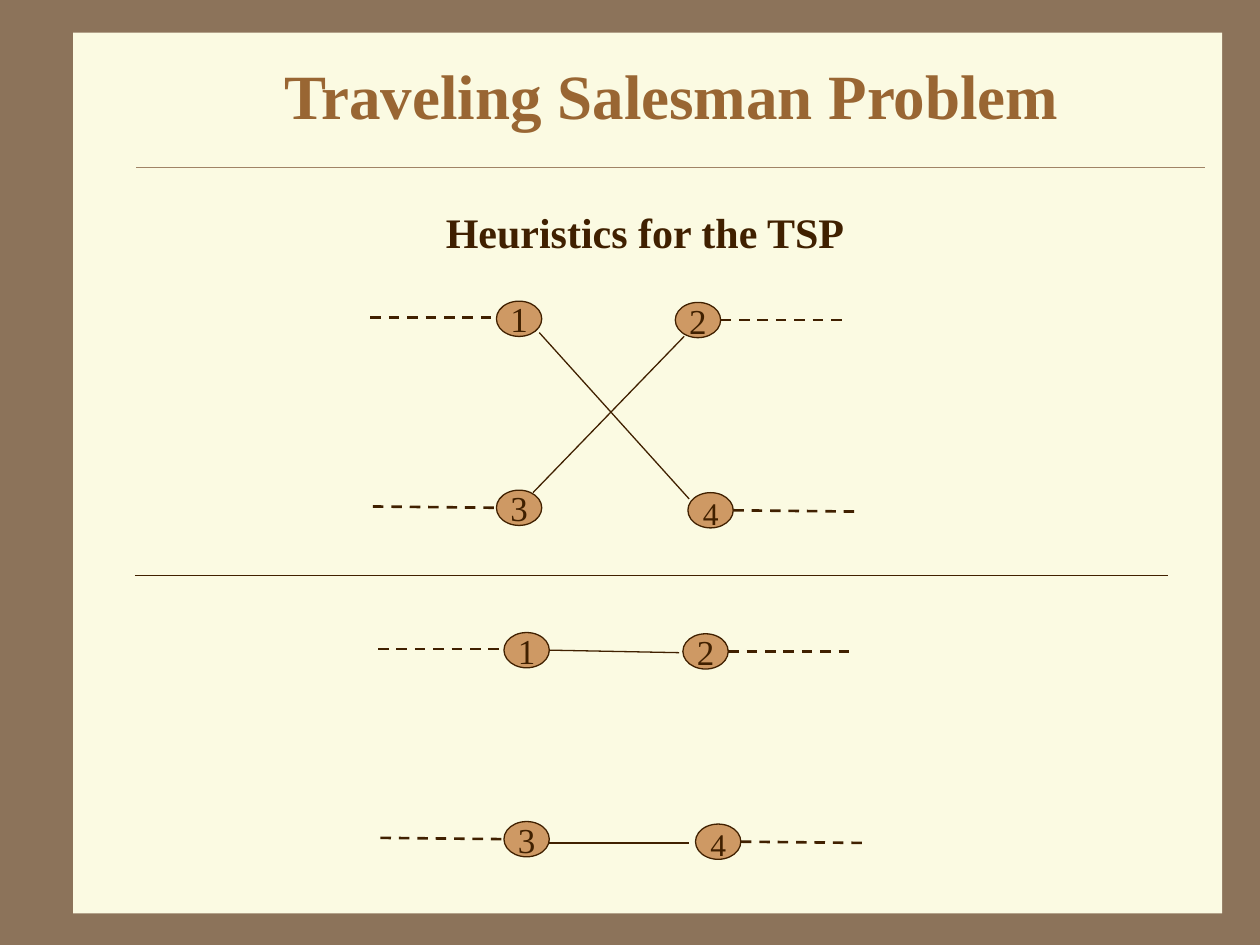
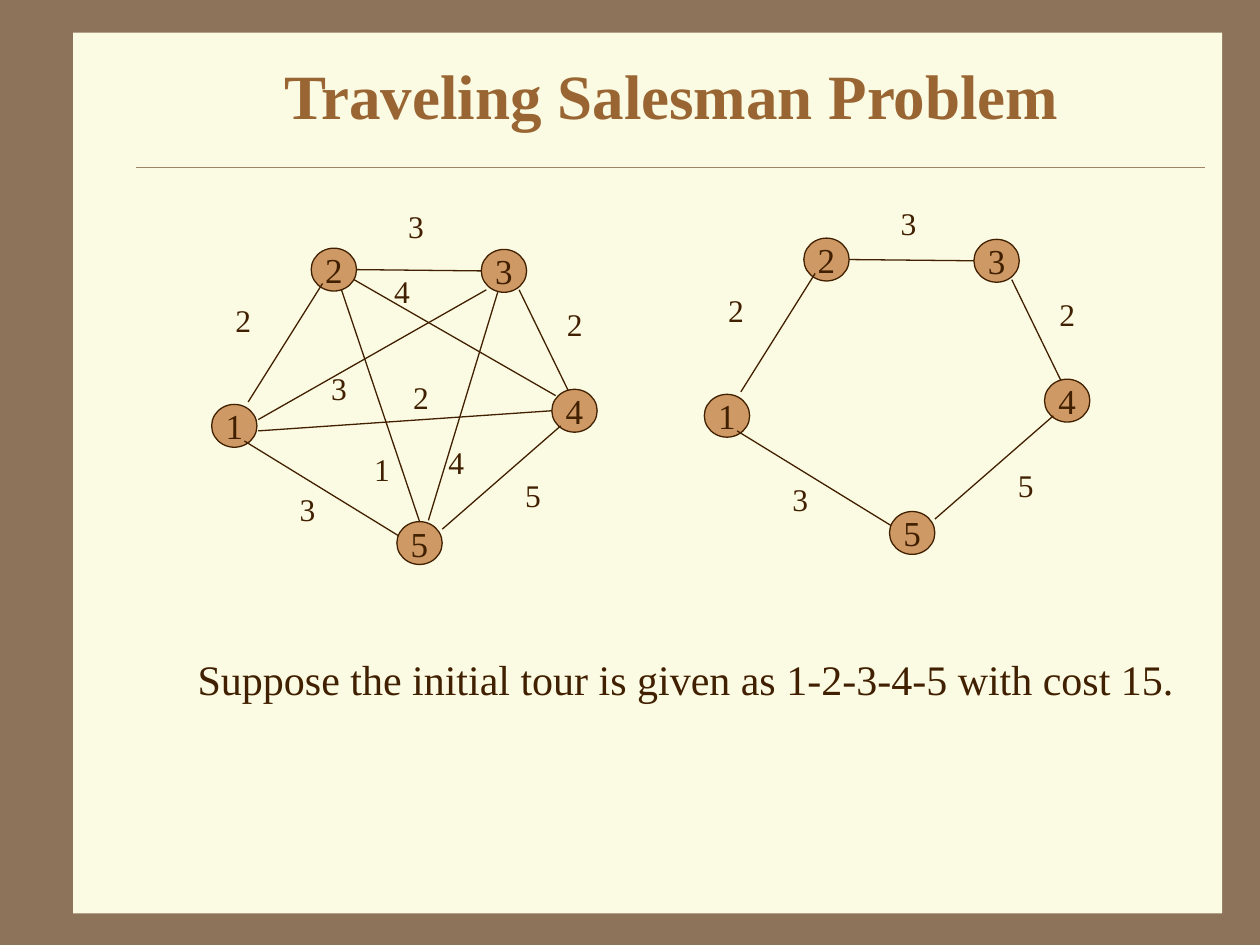
from math import dist
from pptx import Presentation
from pptx.dml.color import RGBColor
from pptx.enum.dml import MSO_LINE
from pptx.enum.shapes import MSO_CONNECTOR, MSO_SHAPE
from pptx.enum.text import MSO_ANCHOR, PP_ALIGN
from pptx.oxml.ns import qn
from pptx.util import Inches, Pt
from lxml import etree

COLORS = {
    "frame": "8C735A",
    "panel": "FBFAE2",
    "rule": "A08366",
    "title": "996633",
    "ink": "402000",
    "node": "CE9964",
}
RGB = {name: RGBColor.from_string(value) for name, value in COLORS.items()}
FONT = "Times New Roman"


def write(tf, text, size, color="ink", bold=False, align=PP_ALIGN.LEFT, wrap=False):
    tf.text = text
    tf.word_wrap = wrap
    p = tf.paragraphs[0]
    p.alignment = align
    for r in p.runs:
        r.font.name = FONT
        r.font.size = Pt(size)
        r.font.bold = bold
        r.font.color.rgb = RGB[color]


def add_line(s, start, end, color="ink", width=0.75, dashed=False, nodes=()):
    points = [Inches(v) for v in (*start, *end)]
    c = s.shapes.add_connector(MSO_CONNECTOR.STRAIGHT, *points)
    c.line.color.rgb = RGB[color]
    c.line.width = Pt(width)
    if dashed:
        c.line.dash_style = MSO_LINE.DASH
    etree.SubElement(c._element.spPr, qn("a:effectLst"))
    for node in nodes:
        x, y, w, h = node.left, node.top, node.width, node.height
        sides = [(x + w / 2, y), (x, y + h / 2), (x + w / 2, y + h), (x + w, y + h / 2)]
        for site, side in enumerate(sides):
            if dist(points[:2], side) < Inches(0.025):
                c.begin_connect(node, site)
            if dist(points[2:], side) < Inches(0.025):
                c.end_connect(node, site)
    return c


prs = Presentation()
prs.slide_width, prs.slide_height = Inches(10), Inches(7.5)
master = prs.slide_master
master.background.fill.solid()
master.background.fill.fore_color.rgb = RGB["frame"]

slides = [prs.slides.add_slide(prs.slide_layouts[5]) for _ in range(2)]
heuristics, tour = slides
for s in slides:
    title = s.shapes.title
    title.left, title.top = Inches(1.08), Inches(0.33)
    title.width, title.height = Inches(8.5), Inches(0.83)
    write(title.text_frame, "Traveling Salesman Problem", 36, "title", True, PP_ALIGN.CENTER, True)
    title.text_frame.vertical_anchor = MSO_ANCHOR.MIDDLE

panel = heuristics.shapes.add_shape(
    MSO_SHAPE.RECTANGLE, Inches(0.58), Inches(0.26), Inches(9.12), Inches(6.99)
)
panel.shadow.inherit = False
panel.fill.solid()
panel.fill.fore_color.rgb = RGB["panel"]
panel.line.fill.background()
rule = add_line(heuristics, (1.08, 1.33), (9.56, 1.33), "rule", 0.25)
for i, sp in enumerate((panel, rule)):
    sp._element.xpath(".//p:cNvPr")[0].set("id", str(20 + i))
    master.shapes._spTree.insert(2 + i, sp._element)

swap_nodes = [("1", 3.94, 2.39), ("2", 5.36, 2.4), ("", 5.46, 3.91), ("3", 3.94, 3.89)]
swap_labels = [("4", 5.48, 3.87)]
swap_stubs = [(2.94, 2.52), (5.74, 2.54), (2.96, 4.02), (5.82, 4.06)]
crossed = [((4.28, 2.64), (5.47, 3.96)), ((4.23, 3.91), (5.43, 2.67))]
uncrossed = [((4.29, 2.55), (5.33, 2.55)), ((4.29, 4.06), (5.41, 4.06))]

city_nodes = [
    ("2", 2.47, 1.97),
    ("3", 3.82, 1.98),
    ("1", 1.68, 3.21),
    ("4", 4.38, 3.09),
    ("5", 3.15, 4.14),
]
tour_edges = [
    ((1.97, 3.19), (2.56, 2.25)),
    ((2.82, 2.13), (3.82, 2.13)),
    ((1.94, 3.5), (3.16, 4.25)),
    ((4.12, 2.3), (4.51, 3.1)),
    ((4.45, 3.38), (3.51, 4.2)),
]
inner_edges = [
    ((2.71, 2.3), (3.31, 4.15)),
    ((2.05, 3.33), (3.86, 2.3)),
    ((2.05, 3.42), (4.38, 3.24)),
    ((3.95, 2.32), (3.4, 4.13)),
    ((2.81, 2.22), (4.41, 3.14)),
]
tour_costs = [("3", 2.28, 3.84), ("5", 4.07, 3.73), ("2", 1.77, 2.34), ("2", 4.4, 2.37)]
inner_costs = [
    ("1", 2.87, 3.52),
    ("3", 2.53, 2.88),
    ("2", 3.18, 2.95),
    ("4", 3.03, 2.11),
    ("4", 3.46, 3.47),
]
all_costs = tour_costs + [("3", 3.14, 1.59)] + inner_costs
ring_costs = tour_costs + [("3", 3.14, 1.65)]

graphs = [
    (heuristics, 0, 0, 0.28, swap_nodes, crossed, swap_labels, swap_stubs),
    (heuristics, 0.06, 2.63, 0.28, swap_nodes, uncrossed, swap_labels, swap_stubs),
    (tour, 3.91, -0.08, 0.34, city_nodes, tour_edges, ring_costs, []),
    (tour, 0, 0, 0.34, city_nodes, tour_edges + inner_edges, all_costs, []),
]
for s, dx, dy, height, nodes, edges, labels, stubs in graphs:
    ovals = []
    for text, x, y in nodes:
        sp = s.shapes.add_shape(
            MSO_SHAPE.OVAL, Inches(x + dx), Inches(y + dy), Inches(0.36), Inches(height)
        )
        sp.shadow.inherit = False
        sp.fill.solid()
        sp.fill.fore_color.rgb = RGB["node"]
        sp.line.color.rgb = RGB["ink"]
        sp.line.width = Pt(0.75)
        write(sp.text_frame, text, 20, align=PP_ALIGN.CENTER)
        sp.text_frame.vertical_anchor = MSO_ANCHOR.MIDDLE
        ovals.append(sp)
    for (x1, y1), (x2, y2) in edges:
        add_line(s, (x1 + dx, y1 + dy), (x2 + dx, y2 + dy), nodes=ovals)
    for x, y in stubs:
        add_line(s, (x + dx, y + dy), (x + dx + 0.96, y + dy), width=1.5, dashed=True, nodes=ovals)
    for text, x, y in labels:
        tb = s.shapes.add_textbox(Inches(x + dx), Inches(y + dy), Inches(0.32), Inches(0.4))
        write(tb.text_frame, text, 18)

add_line(heuristics, (1.07, 4.57), (9.27, 4.57))

captions = [
    (heuristics, "Heuristics for the TSP", 3.44, 1.59, 3.37, True),
    (tour, "Suppose the initial tour is given as 1-2-3-4-5 with cost 15.", 1.47, 5.14, 8.03, False),
]
for s, text, x, y, width, bold in captions:
    tb = s.shapes.add_textbox(Inches(x), Inches(y), Inches(width), Inches(0.5))
    write(tb.text_frame, text, 24, bold=bold)

prs.save("out.pptx")
